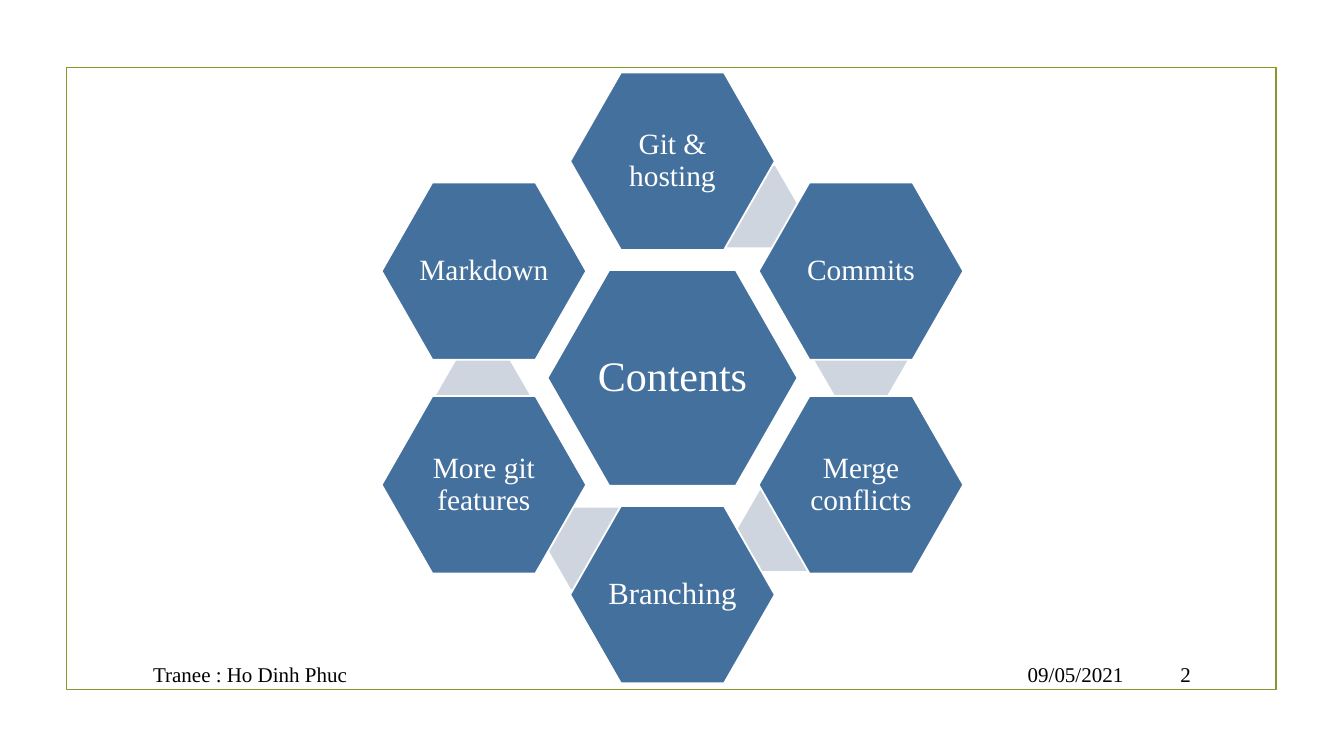
from pptx import Presentation
from pptx.dml.color import RGBColor
from pptx.enum.shapes import MSO_SHAPE
from pptx.enum.text import MSO_ANCHOR, PP_ALIGN
from pptx.util import Inches, Pt

THEME = {
    "font": "Times New Roman",
    "frame": RGBColor.from_string("83992A"),
    "hexagon": RGBColor.from_string("44709D"),
    "link": RGBColor.from_string("CFD5DF"),
    "light": RGBColor.from_string("FFFFFF"),
    "dark": RGBColor.from_string("000000"),
    "line": Pt(1.25),
    "hub_size": 30,
    "topic_size": 21,
    "branching_size": 22,
    "footer_size": 15,
}


def write(box, text, size, color, align, inset=None):
    frame = box.text_frame
    frame.word_wrap = True
    frame.vertical_anchor = MSO_ANCHOR.MIDDLE
    if inset is not None:
        frame.margin_left = frame.margin_right = Inches(inset)
        frame.margin_top = frame.margin_bottom = Inches(inset)
    para = frame.paragraphs[0]
    para.text = text
    para.alignment = align
    para.font.name = THEME["font"]
    para.font.size = Pt(size)
    para.font.color.rgb = color
    return para


def add_hexagon(center_x, center_y, width, height, fill, adjustment):
    hexagon = slide.shapes.add_shape(
        MSO_SHAPE.HEXAGON,
        Inches(center_x - width / 2), Inches(center_y - height / 2),
        Inches(width), Inches(height))
    hexagon.adjustments[0] = adjustment
    hexagon.shadow.inherit = False
    hexagon.fill.solid()
    hexagon.fill.fore_color.rgb = fill
    hexagon.line.fill.background()
    return hexagon


deck = Presentation()
deck.slide_width = Inches(13.33)
deck.slide_height = Inches(7.5)
slide = deck.slides.add_slide(deck.slide_layouts[6])

border = slide.shapes.add_shape(
    MSO_SHAPE.RECTANGLE, Inches(0.66), Inches(0.67), Inches(12), Inches(6.17))
border.shadow.inherit = False
border.fill.background()
border.line.color.rgb = THEME["frame"]
border.line.width = THEME["line"]

footers = [
    ("09/05/2021", 9.49, 1.75, PP_ALIGN.RIGHT),
    ("Tranee : Ho Dinh Phuc", 1.42, 7.99, PP_ALIGN.LEFT),
    ("2", 11.32, 0.59, PP_ALIGN.RIGHT),
]
for text, left, width, align in footers:
    box = slide.shapes.add_textbox(
        Inches(left), Inches(6.53), Inches(width), Inches(0.31))
    write(box, text, THEME["footer_size"], THEME["dark"], align)

link_centers = [(7.45, 2.05), (8.54, 3.56), (7.78, 5.26), (5.9, 5.44), (4.79, 3.93)]
for center_x, center_y in link_centers:
    add_hexagon(center_x, center_y, 0.94, 0.81, THEME["link"], 0.289)

hub_x, hub_y = 6.67, 3.75
side_x, side_y, pole_y = 1.87, 1.06, 2.15
topic_size = THEME["topic_size"]
topics = [
    ("Contents", 0, 0, 2.48, 2.14, THEME["hub_size"], 0.04),
    ("Git & hosting", 0, -pole_y, 2.03, 1.76, topic_size, 0.03),
    ("Commits", side_x, -side_y, 2.03, 1.76, topic_size, 0.03),
    ("Merge conflicts", side_x, side_y, 2.03, 1.76, topic_size, 0.03),
    ("Branching", 0, pole_y, 2.03, 1.76, THEME["branching_size"], 0.03),
    ("More git features", -side_x, side_y, 2.03, 1.76, topic_size, 0.03),
    ("Markdown", -side_x, -side_y, 2.03, 1.76, topic_size, 0.03),
]
for text, offset_x, offset_y, width, height, size, inset in topics:
    hexagon = add_hexagon(
        hub_x + offset_x, hub_y + offset_y, width, height, THEME["hexagon"], 0.286)
    hexagon.line.color.rgb = THEME["light"]
    hexagon.line.width = THEME["line"]
    para = write(hexagon, text, size, THEME["light"], PP_ALIGN.CENTER, inset)
    para.line_spacing = 0.9

deck.save("out.pptx")
